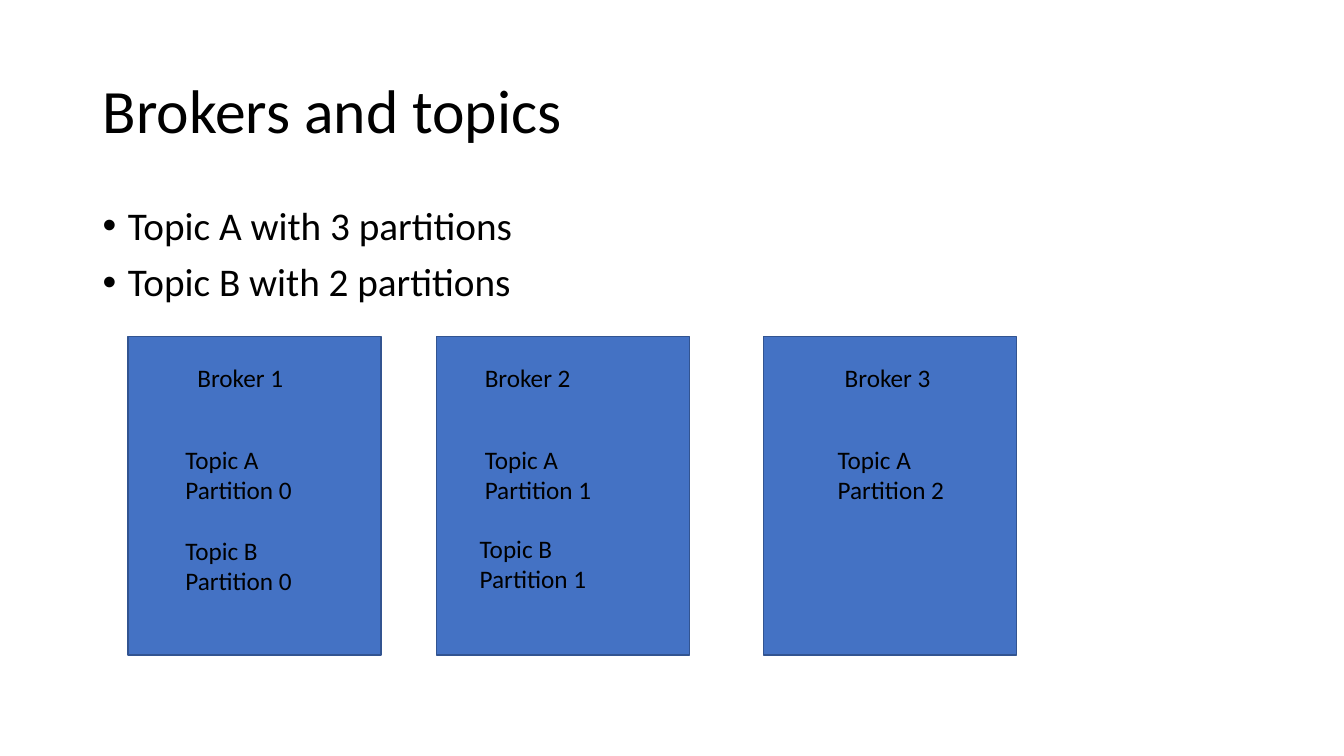
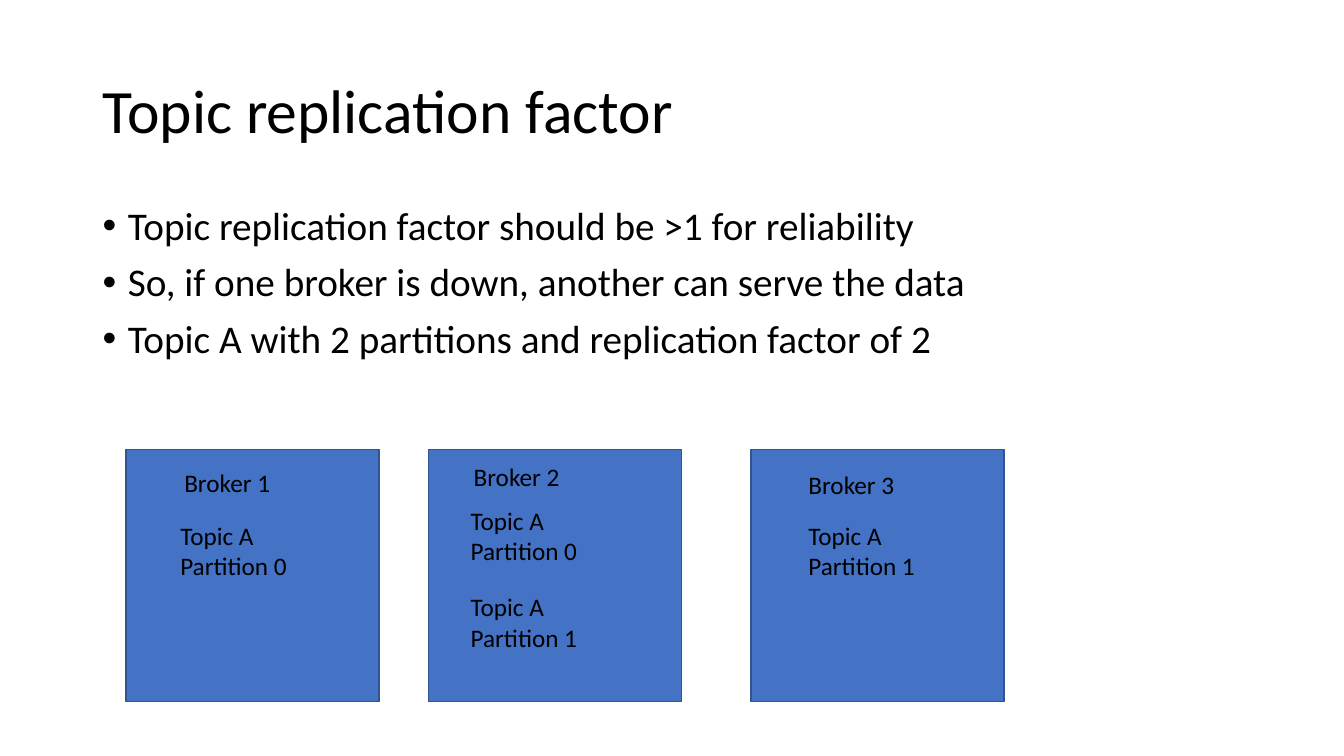
from dataclasses import dataclass

from lxml import etree
from pptx import Presentation
from pptx import util as u
from pptx.dml import color
from pptx.enum import shapes, text
from pptx.oxml import ns


@dataclass(frozen=True)
class Theme:
    font: str = "Calibri"
    bullet_font: str = "Arial"
    ink: color.RGBColor = color.RGBColor.from_string("000000")
    broker_fill: color.RGBColor = color.RGBColor.from_string("4472C4")
    broker_line: color.RGBColor = color.RGBColor.from_string("325491")
    title_size: int = 44
    body_size: int = 28
    label_size: int = 18


THEME = Theme()
TITLE_BOX = (0.92, 0.4, 11.5, 1.45)
BROKER_WIDTH = 2.51
LABEL_WIDTH = 1.57
LABEL_HEIGHTS = {1: 0.4, 2: 0.71}
HEADING = {"line_spacing": 0.9}
BULLET = {"line_spacing": 0.9, "space_before": u.Pt(10)}


def apply_format(target, values):
    for name, value in values.items():
        setattr(target, name, value)


def add_text(page, box, lines, size, frame_format, para_format):
    shape = page.shapes.add_textbox(*map(u.Inches, box))
    frame = shape.text_frame
    apply_format(frame, {"word_wrap": True, **frame_format})
    for index, line in enumerate(lines):
        para = frame.add_paragraph() if index else frame.paragraphs[0]
        apply_format(para, para_format)
        span = para.add_run()
        span.text = line
        apply_format(span.font, {"name": THEME.font, "size": u.Pt(size)})
        span.font.color.rgb = THEME.ink
    return frame


def add_title(page, box, title):
    middle = {"vertical_anchor": text.MSO_ANCHOR.MIDDLE}
    add_text(page, box, [title], THEME.title_size, middle, HEADING)


def add_bullets(page, box, lines):
    frame = add_text(page, box, lines, THEME.body_size, {}, BULLET)
    for para in frame.paragraphs:
        properties = para._p.get_or_add_pPr()
        properties.set("marL", str(u.Inches(0.25)))
        properties.set("indent", str(u.Inches(-0.25)))
        etree.SubElement(properties, ns.qn("a:buFont"), typeface=THEME.bullet_font)
        etree.SubElement(properties, ns.qn("a:buChar"), char="•")


def add_broker(page, box, labels):
    left, top, _, _ = box
    broker = page.shapes.add_shape(shapes.MSO_SHAPE.RECTANGLE, *map(u.Inches, box))
    broker.shadow.inherit = False
    broker.fill.solid()
    broker.fill.fore_color.rgb = THEME.broker_fill
    broker.line.color.rgb = THEME.broker_line
    broker.line.width = u.Pt(1)
    grow = {"auto_size": text.MSO_AUTO_SIZE.SHAPE_TO_FIT_TEXT}
    for across, down, *lines in labels:
        label_box = (left + across, top + down, LABEL_WIDTH, LABEL_HEIGHTS[len(lines)])
        add_text(page, label_box, lines, THEME.label_size, grow, {})


def add_broker_slide(deck, title, bullets, body_height, top, height, brokers):
    page = deck.slides.add_slide(deck.slide_layouts[6])
    add_title(page, TITLE_BOX, title)
    add_bullets(page, (0.92, 2, 11.5, body_height), bullets)
    for left, labels in brokers:
        add_broker(page, (left, top, BROKER_WIDTH, height), labels)


deck = Presentation()
apply_format(deck, {"slide_width": u.Inches(13.33), "slide_height": u.Inches(7.5)})

add_broker_slide(
    deck,
    "Brokers and topics",
    ["Topic A with 3 partitions", "Topic B with 2 partitions"],
    body_height=4.76,
    top=3.34,
    height=3.16,
    brokers=[
        (1.27, [(0.59, 0.21, "Broker 1"),
                (0.47, 1.02, "Topic A", "Partition 0"),
                (0.47, 1.92, "Topic B", "Partition 0")]),
        (4.33, [(0.38, 0.21, "Broker 2"),
                (0.38, 1.02, "Topic A", "Partition 1"),
                (0.33, 1.9, "Topic B", "Partition 1")]),
        (7.57, [(0.71, 0.21, "Broker 3"),
                (0.64, 1.02, "Topic A", "Partition 2")]),
    ],
)

add_broker_slide(
    deck,
    "Topic replication factor",
    ["Topic replication factor should be >1 for reliability",
     "So, if one broker is down, another can serve the data",
     "Topic A with 2 partitions and replication factor of 2"],
    body_height=5.28,
    top=4.46,
    height=2.5,
    brokers=[
        (1.25, [(0.48, 0.13, "Broker 1"),
                (0.44, 0.65, "Topic A", "Partition 0")]),
        (4.25, [(0.35, 0.07, "Broker 2"),
                (0.32, 0.5, "Topic A", "Partition 0"),
                (0.32, 1.36, "Topic A", "Partition 1")]),
        (7.45, [(0.47, 0.15, "Broker 3"),
                (0.47, 0.65, "Topic A", "Partition 1")]),
    ],
)

deck.save("out.pptx")
